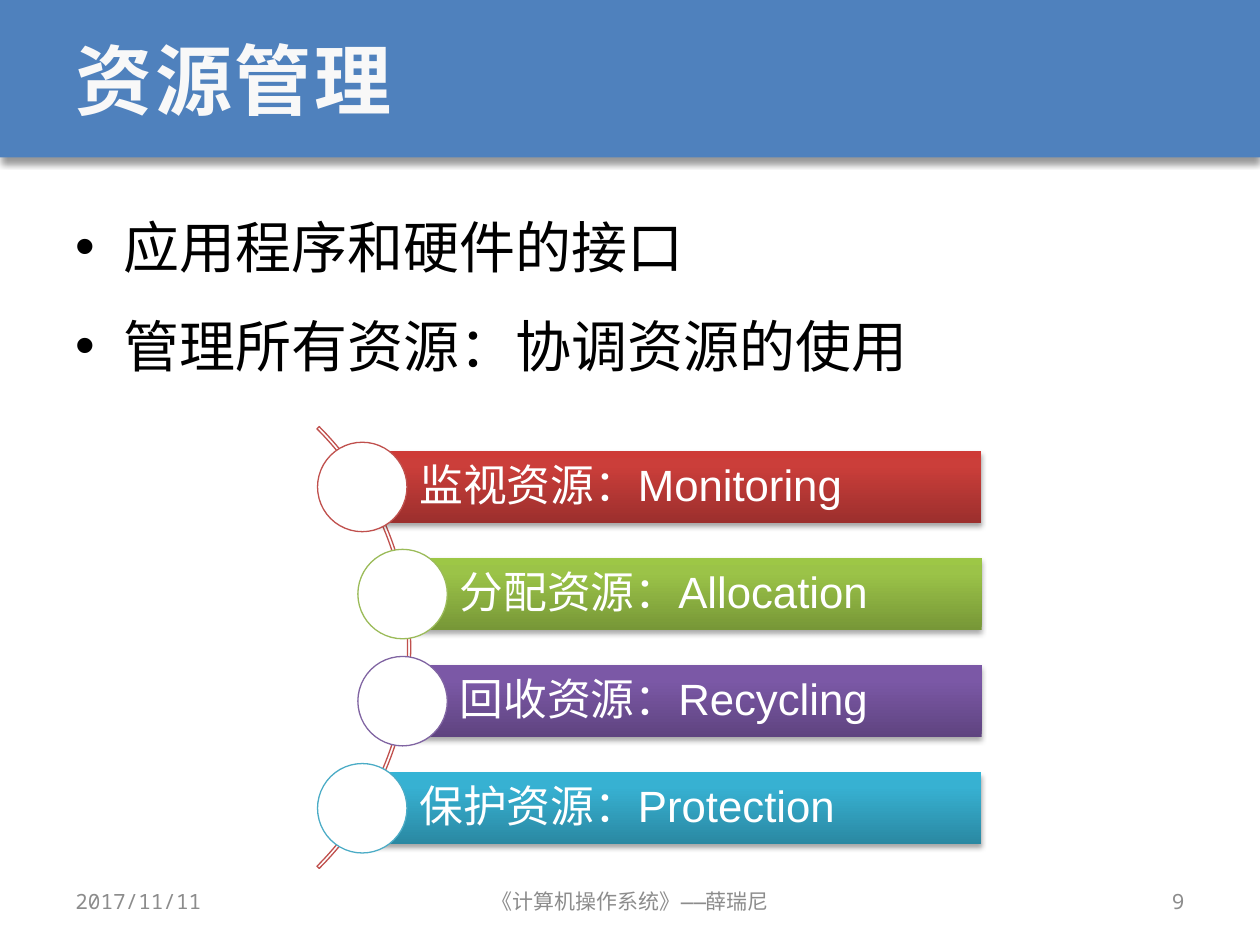
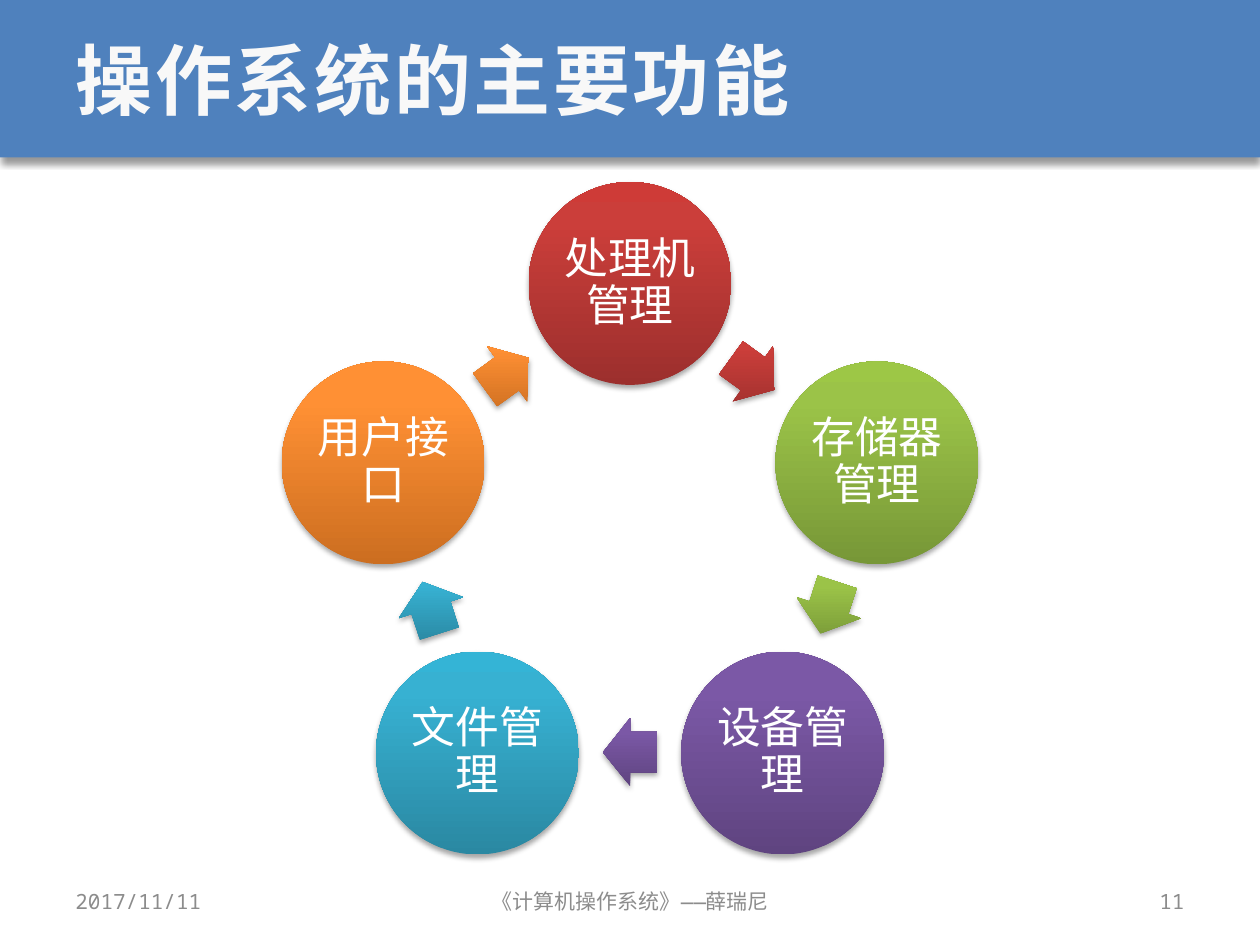
import math
from dataclasses import dataclass

import pptx
import pptx.dml.color
import pptx.enum.shapes
import pptx.enum.text
import pptx.oxml
import pptx.oxml.ns
import pptx.util

Inches = pptx.util.Inches
Pt = pptx.util.Pt
Kind = pptx.enum.shapes.MSO_SHAPE
Align = pptx.enum.text.PP_ALIGN
Anchor = pptx.enum.text.MSO_ANCHOR
qn = pptx.oxml.ns.qn
SPACE = pptx.oxml.ns.nsdecls("a")


@dataclass(frozen=True)
class Theme:
    # Colours
    band: str = "4F81BD"
    title: str = "F8F8F8"
    ink: str = "000000"
    white: str = "FFFFFF"
    gray: str = "8C8C8C"
    # Line colour, then the shades from bottom to top
    red: tuple = ("C0504D", "9C2F2D", "CB3E3A", "CE3B37")
    green: tuple = ("9BBB59", "779737", "9BC348", "9DC746")
    purple: tuple = ("8064A2", "5F4480", "7B58A6", "7C57A8")
    teal: tuple = ("4BACC6", "2A88A2", "37B1D2", "34B4D6")
    orange: tuple = ("F79646", "CC6E20", "FF9034", "FF9136")
    # Fonts and type sizes
    mono: str = "Noto Sans Mono"
    sans: str = "Arial"
    head: int = 44
    body: int = 32
    label: int = 25
    small: int = 12


class Deck:
    def __init__(self, theme):
        self.theme = theme
        self.file = pptx.Presentation()
        self.file.slide_width = Inches(10)
        self.file.slide_height = Inches(7.5)
        self.slide = None

    def color(self, code):
        return pptx.dml.color.RGBColor.from_string(code)

    def words(self, frame, lines, size, color, font, align=Align.LEFT,
              anchor=Anchor.MIDDLE, space=1.0):
        """Fill a text frame and format all its runs."""
        frame.word_wrap = True
        frame.auto_size = pptx.enum.text.MSO_AUTO_SIZE.NONE
        frame.vertical_anchor = anchor
        frame.text = "\n".join(lines)
        for para in frame.paragraphs:
            para.alignment = align
            para.line_spacing = space
            for run in para.runs:
                run.font.size = Pt(size)
                run.font.name = font
                run.font.color.rgb = self.color(color)
                run.font._element.get_or_add_latin().addnext(
                    pptx.oxml.parse_xml(f'<a:ea {SPACE} typeface="{font}"/>'))

    def text(self, box, lines, size, color, **style):
        frame = self.slide.shapes.add_textbox(*map(Inches, box)).text_frame
        self.words(frame, lines, size, color, self.theme.mono, **style)
        return frame

    def shape(self, kind, box, fill=None, line=None):
        item = self.slide.shapes.add_shape(kind, *map(Inches, box))
        item.shadow.inherit = False
        if fill:
            item.fill.solid()
            item.fill.fore_color.rgb = self.color(fill)
        else:
            item.fill.background()
        if line:
            item.line.color.rgb = self.color(line)
            item.line.width = Pt(0.75)
        else:
            item.line.fill.background()
        return item

    def shadow(self, item, alpha, blur, drop):
        item.element.spPr.find(qn("a:effectLst")).append(pptx.oxml.parse_xml(
            f'<a:outerShdw {SPACE} blurRad="{Pt(blur)}" dist="{Pt(drop)}"'
            ' dir="5400000" rotWithShape="0"><a:srgbClr val="000000">'
            f'<a:alpha val="{alpha * 1000}"/></a:srgbClr></a:outerShdw>'))

    def glossy(self, kind, box, hue):
        """A shape with a vertical gradient and a soft shadow."""
        item = self.shape(kind, box, hue[1])
        stops = "".join(
            f'<a:gs pos="{pos * 1000}"><a:srgbClr val="{shade}"/></a:gs>'
            for pos, shade in zip((0, 80, 100), hue[1:]))
        props = item.element.spPr
        props.replace(props.find(qn("a:solidFill")), pptx.oxml.parse_xml(
            f'<a:gradFill {SPACE} rotWithShape="0"><a:gsLst>{stops}</a:gsLst>'
            '<a:lin ang="16200000" scaled="0"/></a:gradFill>'))
        self.shadow(item, 35, 3.1, 1.8)
        return item

    def label(self, item, name, pads, align):
        frame = item.text_frame
        (frame.margin_left, frame.margin_top,
         frame.margin_right, frame.margin_bottom) = map(Inches, pads)
        self.words(frame, [name], self.theme.label, self.theme.white,
                   self.theme.sans, align=align, space=0.9)

    def bullets(self, box, lines):
        frame = self.text(box, lines, self.theme.body, self.theme.ink,
                          anchor=Anchor.TOP, space=1.3)
        for para in frame.paragraphs:
            para.space_before = Pt(6.4)
            props = para._p.get_or_add_pPr()
            props.set("marL", str(Inches(0.38)))
            props.set("indent", str(-Inches(0.38)))
            props.append(pptx.oxml.parse_xml(
                f'<a:buFont {SPACE} typeface="{self.theme.sans}"/>'))
            props.append(pptx.oxml.parse_xml(
                f'<a:buChar {SPACE} char="•"/>'))

    def page(self, name, number):
        """Start a slide with its band, title and footer."""
        look = self.theme
        self.slide = self.file.slides.add_slide(self.file.slide_layouts[5])
        title = self.slide.shapes.title
        title.left, title.top, title.width, title.height = map(
            Inches, (0.5, 0, 9, 1.25))
        self.words(title.text_frame, [name], look.head, look.title, look.mono)
        font = title.text_frame.paragraphs[0].runs[0].font
        font.bold = True
        font._element.set("spc", "150")

        # The band lies behind the title
        band = self.shape(Kind.RECTANGLE, (0, 0, 10, 1.25), look.band)
        self.shadow(band, 40, 4, 3)
        title.element.addprevious(band.element)

        # Footer
        for left, width, note, align in (
                (0.5, 2.33, "2017/11/11", Align.LEFT),
                (3.42, 3.17, "《计算机操作系统》——薛瑞尼", Align.CENTER),
                (7.17, 2.33, str(number), Align.RIGHT)):
            self.text((left, 6.95, width, 0.4), [note], look.small, look.gray,
                      align=align)


def manage(deck):
    look = deck.theme
    deck.page("资源管理", 9)
    deck.bullets((0.5, 1.48, 9, 5.33),
                 ["应用程序和硬件的接口", "管理所有资源：协调资源的使用"])

    # Arc that joins the four tasks
    arc = deck.shape(Kind.BLOCK_ARC, (-1.7, 2.66, 4.96, 4.96),
                     line=look.red[0])
    for place, value in enumerate((189, 27, 0.005)):
        arc.adjustments[place] = value

    # Task bars, each with a dot at its left end
    right, step = 7.79, 0.85
    tasks = (("监视资源：Monitoring", look.red, 2.88),
             ("分配资源：Allocation", look.green, 3.2),
             ("回收资源：Recycling", look.purple, 3.2),
             ("保护资源：Protection", look.teal, 2.88))
    for row, (name, hue, left) in enumerate(tasks):
        top = 3.58 + row * step
        bar = deck.glossy(Kind.RECTANGLE, (left, top, right - left, 0.57), hue)
        deck.label(bar, name, (0.45, 0.07, 0.07, 0.07), Align.LEFT)
        deck.shape(Kind.OVAL, (left - 0.36, top - 0.07, 0.71, 0.71),
                   look.white, hue[0])


def roles(deck):
    look = deck.theme
    deck.page("操作系统的主要功能", 11)
    parts = (("处理机管理", look.red), ("存储器管理", look.green),
             ("设备管理", look.purple), ("文件管理", look.teal),
             ("用户接口", look.orange))

    def spot(angle, reach, width, height):
        """Box centred on the ring, with the angle clockwise from the top."""
        turn = math.radians(angle)
        return (5 + reach * math.sin(turn) - width / 2,
                4.31 - reach * math.cos(turn) - height / 2, width, height)

    # Ring of discs, with an arrow halfway to the next one
    step = 360 / len(parts)
    for place, (name, hue) in enumerate(parts):
        angle = place * step
        disc = deck.glossy(Kind.OVAL, spot(angle, 2.06, 1.61, 1.61), hue)
        deck.label(disc, name, (0.03,) * 4, Align.CENTER)
        angle += step / 2
        arrow = deck.glossy(Kind.RIGHT_ARROW, spot(angle, 1.66, 0.43, 0.54),
                            hue)
        arrow.rotation = angle
        arrow.adjustments[0] = 0.6
        arrow.adjustments[1] = 0.5


def main():
    deck = Deck(Theme())
    manage(deck)
    roles(deck)
    deck.file.save("out.pptx")


if __name__ == "__main__":
    main()
